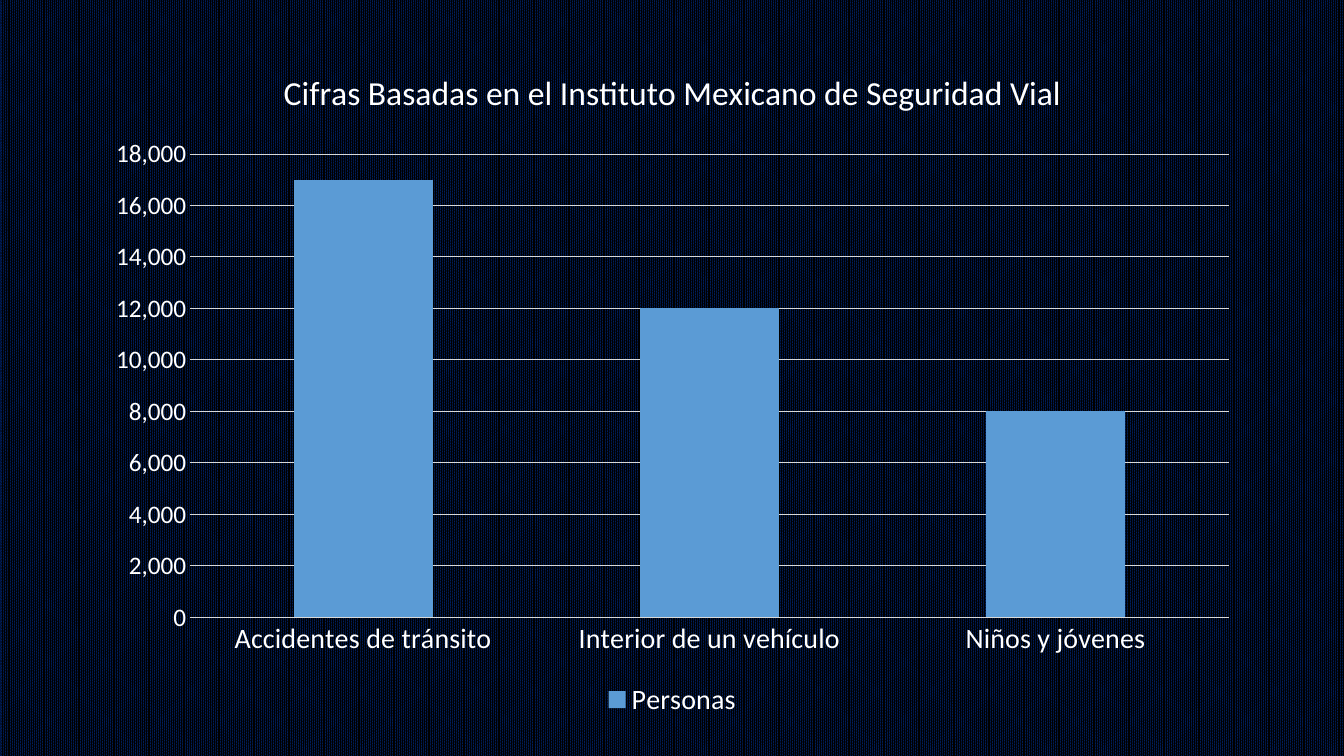
"""Build a slide with a column chart of road accident figures in Mexico."""
from typing import NamedTuple

from pptx import Presentation
from pptx.chart.data import CategoryChartData
from pptx.dml.color import RGBColor
from pptx.enum.chart import XL_CHART_TYPE as ChartType
from pptx.enum.chart import XL_LEGEND_POSITION as LegendPos
from pptx.enum.chart import XL_TICK_MARK as TickMark
from pptx.enum.dml import MSO_PATTERN as Pattern
from pptx.text.text import Font, TextFrame
from pptx.util import Cm, Pt

BLACK = RGBColor(0x00, 0x00, 0x00)
NAVY = RGBColor(0x00, 0x20, 0x60)
WHITE = RGBColor(0xFF, 0xFF, 0xFF)
GRID_GRAY = RGBColor(0xD9, 0xD9, 0xD9)
BAR_BLUE = RGBColor(0x5B, 0x9B, 0xD5)
FONT_NAME = "Calibri"


class Figure(NamedTuple):
    group: str
    people: int


FIGURES = [
    Figure("Accidentes de tránsito", 17000),
    Figure("Interior de un vehículo", 12000),
    Figure("Niños y jóvenes", 8000),
]


def format_font(font: Font, size: float, color: RGBColor = WHITE) -> None:
    font.name = FONT_NAME
    font.size = Pt(size)
    font.bold = False
    font.color.rgb = color


def write(tf: TextFrame, text: str, *, size: float, color: RGBColor = WHITE) -> None:
    p = tf.paragraphs[0]
    r = p.add_run()
    r.text = text
    format_font(r.font, size, color)


def format_axis(axis, size: float) -> None:
    axis.major_tick_mark = TickMark.NONE
    axis.minor_tick_mark = TickMark.NONE
    axis.format.line.fill.background()
    format_font(axis.tick_labels.font, size)


def add_figures_chart(slide) -> None:
    data = CategoryChartData(number_format="#,##0")
    data.categories = [figure.group for figure in FIGURES]
    data.add_series("Personas", [figure.people for figure in FIGURES])
    chart = slide.shapes.add_chart(
        ChartType.COLUMN_CLUSTERED, Cm(2.34), Cm(1.14), Cm(29.21), Cm(17.07), data
    ).chart
    format_font(chart.font, 10, BLACK)

    chart.has_title = True
    chart.chart_title.include_in_layout = False
    write(
        chart.chart_title.text_frame,
        "Cifras Basadas en el Instituto Mexicano de Seguridad Vial",
        size=24,
    )

    chart.has_legend = True
    chart.legend.position = LegendPos.BOTTOM
    chart.legend.include_in_layout = False
    format_font(chart.legend.font, 20)

    format_axis(chart.category_axis, 20)
    value_axis = chart.value_axis
    format_axis(value_axis, 18)
    value_axis.minimum_scale = 0
    value_axis.maximum_scale = 18000
    value_axis.major_unit = 2000
    value_axis.tick_labels.number_format = "#,##0"
    value_axis.tick_labels.number_format_is_linked = False
    grid = value_axis.major_gridlines.format.line
    grid.color.rgb = GRID_GRAY
    grid.width = Pt(0.75)

    plot = chart.plots[0]
    plot.gap_width = 150
    plot.vary_by_categories = False
    bars = plot.series[0].format.fill
    bars.solid()
    bars.fore_color.rgb = BAR_BLUE


def main() -> None:
    prs = Presentation()
    prs.slide_width = Cm(33.87)
    prs.slide_height = Cm(19.05)
    slide = prs.slides.add_slide(prs.slide_layouts[6])
    fill = slide.background.fill
    fill.patterned()
    fill.pattern = Pattern.PERCENT_90
    fill.fore_color.rgb = BLACK
    fill.back_color.rgb = NAVY
    add_figures_chart(slide)
    prs.save("out.pptx")


if __name__ == "__main__":
    main()
